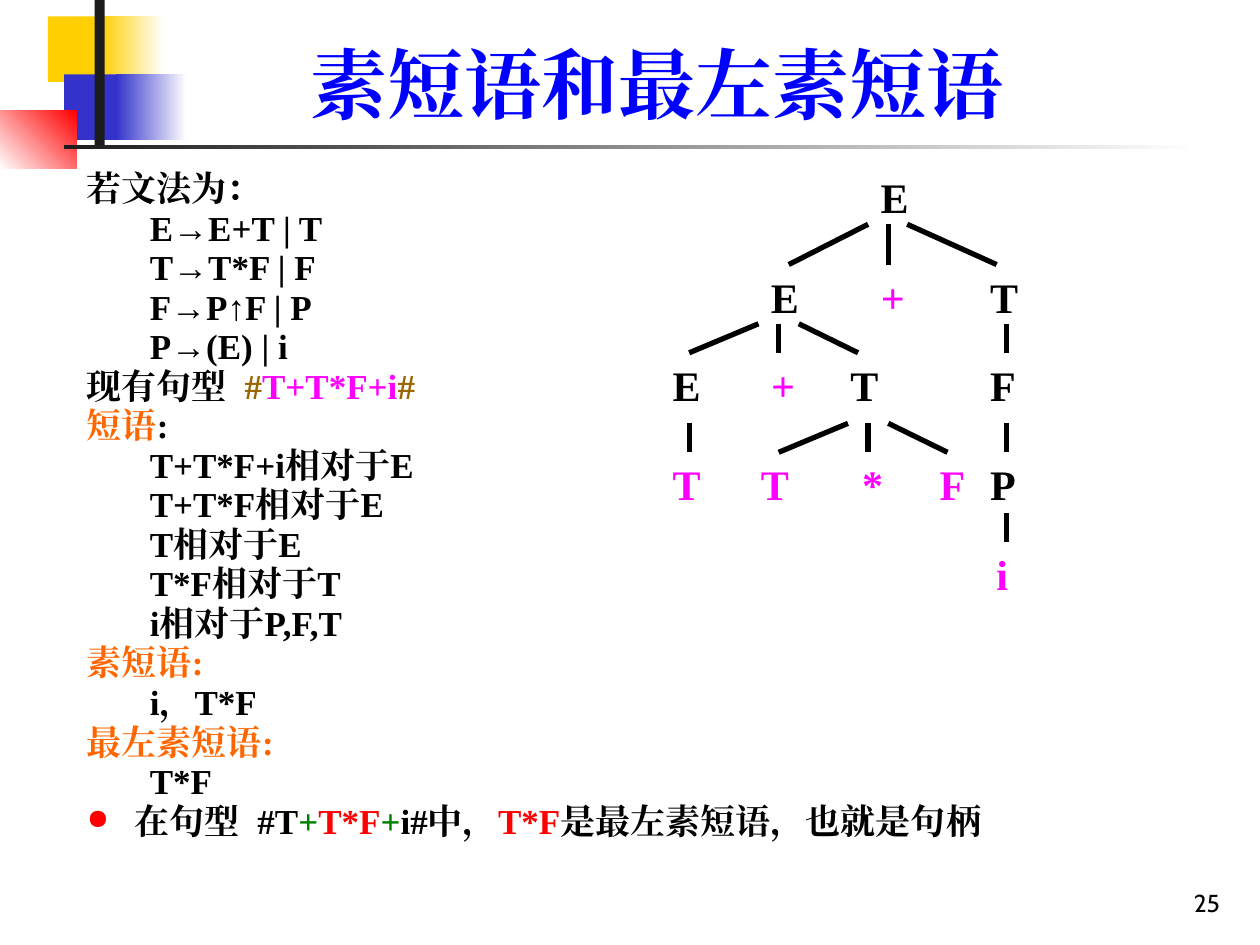
from lxml.etree import SubElement
from pptx import Presentation
from pptx.dml.color import RGBColor
from pptx.enum.shapes import MSO_CONNECTOR, MSO_SHAPE
from pptx.enum.text import MSO_ANCHOR, MSO_AUTO_SIZE, PP_ALIGN
from pptx.oxml.ns import qn
from pptx.util import Inches, Pt

BLACK = RGBColor(0x00, 0x00, 0x00)
WHITE = RGBColor(0xFF, 0xFF, 0xFF)
CHARCOAL = RGBColor(0x1C, 0x1C, 0x1C)
YELLOW = RGBColor(0xFF, 0xCF, 0x01)
INDIGO = RGBColor(0x33, 0x33, 0xCC)
BLUE = RGBColor(0x00, 0x00, 0xFF)
RED = RGBColor(0xFF, 0x00, 0x00)
BROWN = RGBColor(0x99, 0x66, 0x00)
MAGENTA = RGBColor(0xFF, 0x00, 0xFF)
ORANGE = RGBColor(0xFF, 0x66, 0x00)
GREEN = RGBColor(0x00, 0x80, 0x00)
SERIF = "Times New Roman"

DECORATIONS = [
    (0.38, 0.13, 0.67, 0.52, [YELLOW], 0),
    (0.8, 0.13, 0.5, 0.52, [YELLOW, WHITE], 0),
    (0.51, 0.59, 0.64, 0.52, [INDIGO], 0),
    (0.92, 0.59, 0.56, 0.52, [INDIGO, WHITE], 0),
    (0, 0.88, 0.61, 0.46, [WHITE, RED], 45),
    (0.75, 0, 0.08, 1.15, [CHARCOAL], 0),
    (0.51, 1.15, 9, 0.03, [CHARCOAL, WHITE], 0),
]

OUTLINE = [
    (0, [("若文法为：", BLACK)]),
    (1, [("E→E+T | T", BLACK)]),
    (1, [("T→T*F | F", BLACK)]),
    (1, [("F→P↑F | P", BLACK)]),
    (1, [("P→(E) | i", BLACK)]),
    (0, [("现有句型  ", BLACK), ("#", BROWN), ("T+T*F+i", MAGENTA), ("#", BROWN)]),
    (0, [("短语", ORANGE), (":", BLACK)]),
    (1, [("T+T*F+i相对于E", BLACK)]),
    (1, [("T+T*F相对于E", BLACK)]),
    (1, [("T相对于E", BLACK)]),
    (1, [("T*F相对于T", BLACK)]),
    (1, [("i相对于P,F,T", BLACK)]),
    (0, [("素短语:", ORANGE)]),
    (1, [("i，T*F", BLACK)]),
    (0, [("最左素短语:", ORANGE)]),
    (1, [("T*F", BLACK)]),
    (0, [("在句型  #T", BLACK), ("+", GREEN), ("T*F", RED), ("+", GREEN),
         ("i#中，", BLACK), ("T*F", RED), ("是最左素短语，也就是句柄", BLACK)]),
]
LEVEL_INDENTS = [(0.38, -0.38), (0.81, -0.31)]

ROW_TOPS = [0, 0.79, 1.49, 2.28, 2.99]
BRANCH_TOPS = [0.39, 1.18, 1.97, 2.68]
TREE_ROWS = [
    [("E", 1.65, BLACK)],
    [("E", 0.78, BLACK), ("+", 1.65, MAGENTA), ("T", 2.52, BLACK)],
    [("E", 0, BLACK), ("+", 0.78, MAGENTA), ("T", 1.41, BLACK), ("F", 2.52, BLACK)],
    [("T", 0, MAGENTA), ("T", 0.7, MAGENTA), ("*", 1.49, MAGENTA),
     ("F", 2.12, MAGENTA), ("P", 2.52, BLACK)],
    [("i", 2.52, MAGENTA)],
]
BRANCH_ROWS = [
    [(1.65, 1.02), (1.81, 1.81), (1.96, 2.67)],
    [(0.78, 0.23), (0.94, 0.94), (1.1, 1.57), (2.75, 2.75)],
    [(0.23, 0.23), (1.49, 0.94), (1.65, 1.65), (1.81, 2.28), (2.75, 2.75)],
    [(2.75, 2.75)],
]


def style_paragraph(paragraph, size, color, align, bold=True, face=SERIF):
    """Set alignment and font of a whole paragraph, for Latin and Chinese."""
    paragraph.alignment = align
    font = paragraph.font
    font.size, font.bold, font.name = Pt(size), bold, face
    font.color.rgb = color
    defaults = paragraph._p.get_or_add_pPr().find(qn("a:defRPr"))
    SubElement(defaults, qn("a:ea")).set("typeface", face)


def add_text_frame(slide, left, top, width, height):
    """Add a wrapping text box and return its frame."""
    box = slide.shapes.add_textbox(Inches(left), Inches(top), Inches(width), Inches(height))
    box.text_frame.word_wrap = True
    return box.text_frame


def add_decorations(slide):
    """Draw the coloured blocks and rules around the title."""
    for left, top, width, height, colors, angle in DECORATIONS:
        block = slide.shapes.add_shape(
            MSO_SHAPE.RECTANGLE, Inches(left), Inches(top), Inches(width), Inches(height))
        block.shadow.inherit = False
        block.line.fill.background()
        if len(colors) == 1:
            block.fill.solid()
            block.fill.fore_color.rgb = colors[0]
        else:
            block.fill.gradient()
            block.fill.gradient_angle = angle
            for stop, color in zip(block.fill.gradient_stops, colors):
                stop.color.rgb = color


def add_title(slide, left, top, width, height):
    """Place and format the title placeholder."""
    title = slide.shapes.title
    title.left, title.top = Inches(left), Inches(top)
    title.width, title.height = Inches(width), Inches(height)
    frame = title.text_frame
    frame.text = "素短语和最左素短语"
    frame.auto_size = MSO_AUTO_SIZE.NONE
    frame.vertical_anchor = MSO_ANCHOR.BOTTOM
    style_paragraph(frame.paragraphs[0], 44, BLUE, PP_ALIGN.CENTER)


def add_bullet(paragraph):
    """Give a paragraph a small red round bullet."""
    properties = paragraph._p.get_or_add_pPr()
    color = SubElement(properties, qn("a:buClr"))
    SubElement(color, qn("a:srgbClr")).set("val", str(RED))
    SubElement(properties, qn("a:buSzPct")).set("val", "80000")
    SubElement(properties, qn("a:buChar")).set("char", "●")


def add_outline(slide, left, top, width, height):
    """Write the grammar, the phrases and the conclusion."""
    frame = add_text_frame(slide, left, top, width, height)
    for index, (level, runs) in enumerate(OUTLINE):
        paragraph = frame.add_paragraph() if index else frame.paragraphs[0]
        paragraph.level = level
        paragraph.line_spacing = 0.9
        paragraph.space_before = Pt(1)
        margin, indent = LEVEL_INDENTS[level]
        properties = paragraph._p.get_or_add_pPr()
        properties.set("marL", str(Inches(margin)))
        properties.set("indent", str(Inches(indent)))
        if index == len(OUTLINE) - 1:
            add_bullet(paragraph)
        style_paragraph(paragraph, 20, BLACK, PP_ALIGN.JUSTIFY)
        for text, color in runs:
            run = paragraph.add_run()
            run.text = text
            if color != BLACK:
                run.font.color.rgb = color


def add_syntax_tree(slide, left, top):
    """Draw the syntax tree from its top-left corner."""
    for row_top, nodes in zip(ROW_TOPS, TREE_ROWS):
        for symbol, x, color in nodes:
            frame = add_text_frame(slide, left + x, top + row_top, 0.39, 0.42)
            frame.text = symbol
            label = frame.paragraphs[0]
            label.line_spacing = 0.8
            style_paragraph(label, 24, color, PP_ALIGN.CENTER)
    for start_y, child_top, branches in zip(BRANCH_TOPS, ROW_TOPS[1:], BRANCH_ROWS):
        for start_x, end_x in branches:
            branch = slide.shapes.add_connector(
                MSO_CONNECTOR.STRAIGHT, Inches(left + start_x), Inches(top + start_y),
                Inches(left + end_x), Inches(top + child_top - 0.08))
            branch.line.color.rgb = BLACK
            branch.line.width = Pt(3)
            SubElement(branch._element.spPr, qn("a:effectLst"))


def add_page_number(slide, left, top, width, height):
    """Write the page number at the bottom right."""
    frame = add_text_frame(slide, left, top, width, height)
    frame.text = "25"
    frame.vertical_anchor = MSO_ANCHOR.BOTTOM
    style_paragraph(frame.paragraphs[0], 14, BLACK, PP_ALIGN.RIGHT, False, "Cabin")


def main():
    """Build and save the slide."""
    deck = Presentation()
    deck.slide_width, deck.slide_height = Inches(10), Inches(7.5)
    slide = deck.slides.add_slide(deck.slide_layouts[5])
    add_decorations(slide)
    add_page_number(slide, 7.7, 6.83, 2.08, 0.5)
    add_title(slide, 1.26, 0.23, 7.91, 0.84)
    add_outline(slide, 0.59, 1.31, 8.58, 5.75)
    add_syntax_tree(slide, 5.24, 1.39)
    deck.save("out.pptx")


if __name__ == "__main__":
    main()
